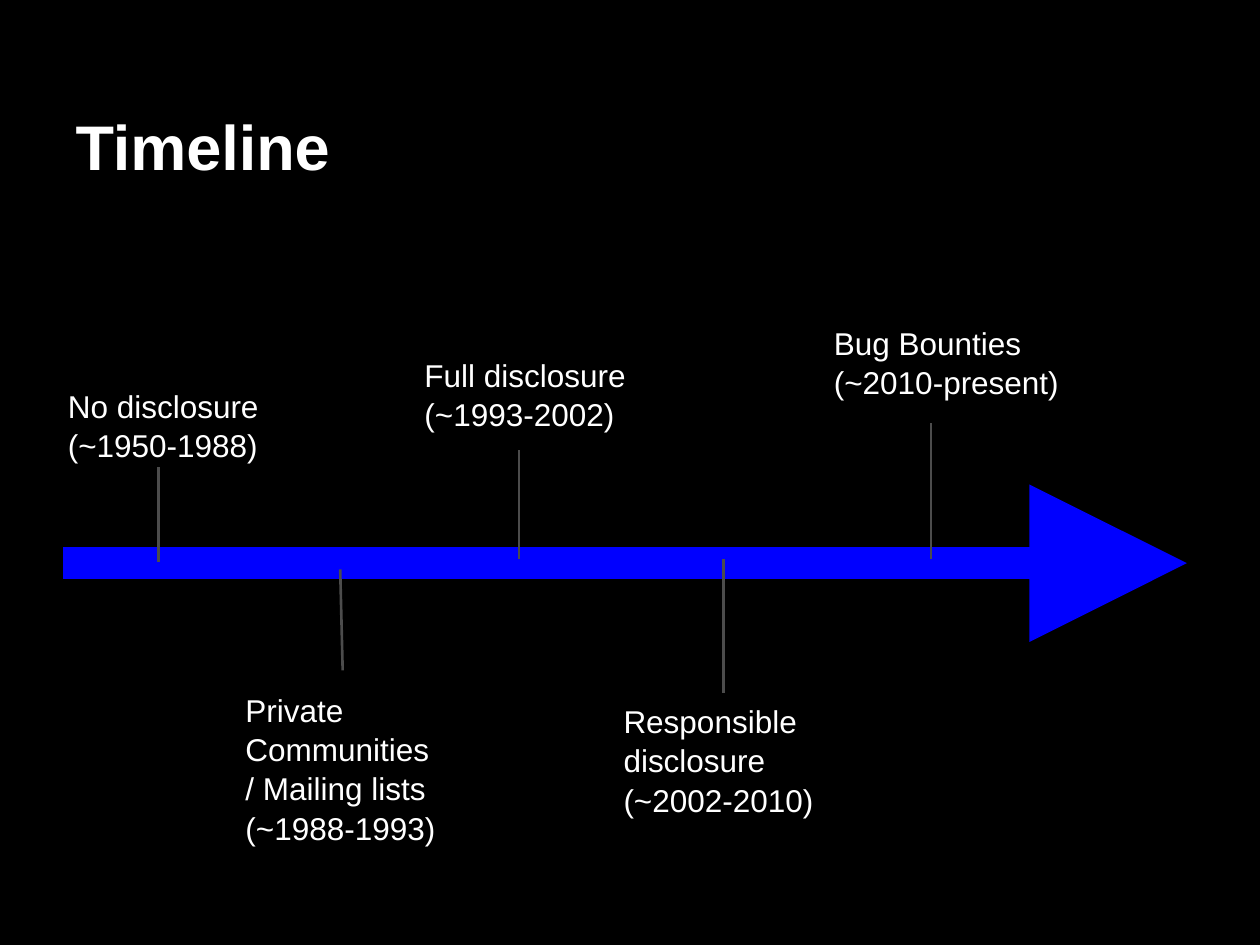
from dataclasses import dataclass

from lxml import etree
from pptx import Presentation
from pptx import util as u
from pptx.dml.color import RGBColor
from pptx.enum import shapes, text
from pptx.oxml.ns import qn

COLORS = {"background": "000000", "text": "FFFFFF", "arrow": "0000FF", "marker": "4C4C4C"}
Point = tuple[float, float]


@dataclass
class Era:
    name: str
    years: str
    box: tuple[float, float, float, float]  # left, top, width, height
    start: Point  # marker end on the arrow
    end: Point  # marker end beside the label


ERAS = [
    Era("No disclosure", "(~1950-1988)", (0.44, 2.96, 1.76, 0.78), (1.26, 4.46), (1.26, 3.71)),
    Era("Private Communities / Mailing lists", "(~1988-1993)",
        (1.85, 5.37, 1.76, 0.78), (2.7, 4.52), (2.72, 5.32)),
    Era("Full disclosure", "(~1993-2002)", (3.27, 2.71, 2.02, 0.78), (4.12, 4.44), (4.12, 3.57)),
    Era("Responsible disclosure", "(~2002-2010)",
        (4.85, 5.46, 2.41, 1.8), (5.74, 4.44), (5.74, 5.5)),
    Era("Bug Bounties", "(~2010-present)", (6.52, 2.46, 2.43, 0.78), (7.39, 4.44), (7.39, 3.36)),
]


def rgb(name: str) -> RGBColor:
    return RGBColor.from_string(COLORS[name])


def write_text(shape, lines: list[str], size: float, bold: bool, anchor, spacing: float) -> None:
    frame = shape.text_frame
    frame_format = {"word_wrap": True, "auto_size": text.MSO_AUTO_SIZE.NONE,
                    "vertical_anchor": anchor}
    frame_format |= {f"margin_{side}": u.Inches(0.1) for side in ("left", "top", "right", "bottom")}
    for attribute, value in frame_format.items():
        setattr(frame, attribute, value)
    frame.text = "\n".join(lines)
    for paragraph in frame.paragraphs:
        paragraph.alignment = text.PP_ALIGN.LEFT
        paragraph.line_spacing = spacing
        font = paragraph.runs[0].font
        for attribute, value in {"name": "Arial", "size": u.Pt(size), "bold": bold}.items():
            setattr(font, attribute, value)
        font.color.rgb = rgb("text")


def add_line(slide, start: Point, end: Point, color: str, width: float, arrow: bool = False) -> None:
    line = slide.shapes.add_connector(
        shapes.MSO_CONNECTOR.STRAIGHT, *(u.Inches(value) for value in start + end))
    line.line.color.rgb = rgb(color)
    line.line.width = u.Pt(width)
    properties = line._element.spPr
    if arrow:
        etree.SubElement(properties.find(qn("a:ln")), qn("a:tailEnd"),
                         type="triangle", w="lg", len="lg")
    etree.SubElement(properties, qn("a:effectLst"))


def add_label(slide, era: Era) -> None:
    label = slide.shapes.add_textbox(*(u.Inches(value) for value in era.box))
    write_text(label, [era.name, era.years], 18, False, text.MSO_ANCHOR.TOP, 1.04)


def main() -> None:
    presentation = Presentation()
    presentation.slide_width = u.Inches(10)
    presentation.slide_height = u.Inches(7.5)
    slide = presentation.slides.add_slide(presentation.slide_layouts[5])
    slide.background.fill.solid()
    slide.background.fill.fore_color.rgb = rgb("background")

    # Title
    title = slide.shapes.title
    title_place = {"left": 0.5, "top": 0.3, "width": 9, "height": 1.25}
    for attribute, value in title_place.items():
        setattr(title, attribute, u.Inches(value))
    write_text(title, ["Timeline"], 36, True, text.MSO_ANCHOR.BOTTOM, 1.0)

    # Time arrow, then the markers and labels of the eras
    add_line(slide, (0.5, 4.47), (9.42, 4.47), "arrow", 18, arrow=True)
    for era in ERAS:
        add_line(slide, era.start, era.end, "marker", 1.5)
    for era in ERAS:
        add_label(slide, era)

    presentation.save("out.pptx")


if __name__ == "__main__":
    main()
